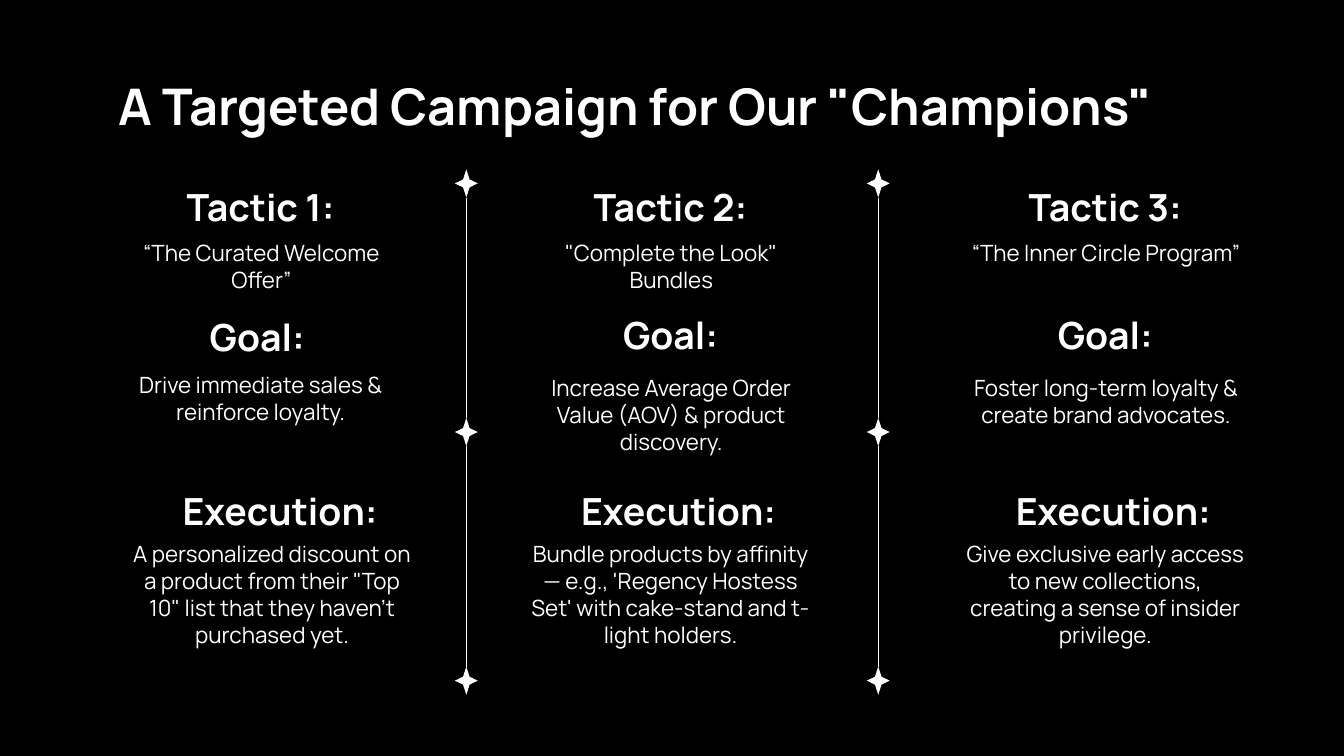
from pptx import Presentation
from pptx.dml.color import RGBColor
from pptx.enum.shapes import MSO_CONNECTOR, MSO_SHAPE
from pptx.enum.text import MSO_ANCHOR, MSO_AUTO_SIZE, PP_ALIGN
from pptx.oxml.ns import qn
from pptx.util import Emu, Pt
from lxml import etree

LEFT, CENTER = PP_ALIGN.LEFT, PP_ALIGN.CENTER
TOP, BOTTOM = MSO_ANCHOR.TOP, MSO_ANCHOR.BOTTOM
NO_FIT = MSO_AUTO_SIZE.NONE
STAR, STRAIGHT = MSO_SHAPE.STAR_4_POINT, MSO_CONNECTOR.STRAIGHT

BLACK = RGBColor(0, 0, 0)
WHITE = RGBColor(255, 255, 255)
FONT = "Manrope"
EMU_PER_PX = 4572

TITLE_FONT = {"name": FONT, "size": Pt(27), "bold": True}
HEADING_FONT = {"name": FONT, "size": Pt(20), "bold": True}
BODY_FONT = {"name": FONT, "size": Pt(12), "bold": False}

MARGIN = 20
COLUMN_WIDTH = 462
HEADING_HEIGHT = 86
STAR_WIDTH, STAR_HEIGHT = 34, 42

TACTICS = [
    (157, [
        (0, 275, "Tactic 1:", 1, 336, 128, "“The Curated Welcome Offer”"),
        (-5, 468, "Goal:", 0, 532, 128, "Drive immediate sales & reinforce loyalty."),
        (29, 727, "Execution:", 17, 784, 304,
         "A personalized discount on a product from their \"Top 10\" list "
         "that they haven't purchased yet."),
    ]),
    (767, [
        (0, 275, "Tactic 2:", 1, 336, 128, "\"Complete the Look\" Bundles"),
        (0, 465, "Goal:", 1, 537, 128,
         "Increase Average Order Value (AOV) & product discovery."),
        (12, 727, "Execution:", 0, 784, 304,
         "Bundle products by affinity — e.g., 'Regency Hostess Set' "
         "with cake-stand and t-light holders."),
    ]),
    (1414, [
        (0, 275, "Tactic 3:", 1, 336, 128, "“The Inner Circle Program”"),
        (0, 465, "Goal:", 1, 537, 128,
         "Foster long-term loyalty & create brand advocates."),
        (12, 727, "Execution:", 0, 784, 304,
         "Give exclusive early access to new collections, "
         "creating a sense of insider privilege."),
    ]),
]


def px(*lengths):
    return [Emu(length * EMU_PER_PX) for length in lengths]


def write_text(box, text, font, align, anchor):
    frame = box.text_frame
    margin = Emu(MARGIN * EMU_PER_PX)
    frame_format = {
        "word_wrap": True, "auto_size": NO_FIT, "vertical_anchor": anchor,
        "margin_left": margin, "margin_right": margin,
        "margin_top": margin, "margin_bottom": margin,
    }
    for name, value in frame_format.items():
        setattr(frame, name, value)
    para = frame.paragraphs[0]
    para.alignment = align
    span = para.add_run()
    span.text = text
    for name, value in font.items():
        setattr(span.font, name, value)
    span.font.color.rgb = WHITE


def add_title(page, left, top, width, height):
    title = page.shapes.title
    title.left, title.top, title.width, title.height = px(left, top, width, height)
    write_text(title, "A Targeted Campaign for Our \"Champions\"", TITLE_FONT, LEFT, TOP)


def add_column(page, left, sections):
    for heading_dx, heading_top, heading, body_dx, body_top, body_height, body in sections:
        box = page.shapes.add_textbox(
            *px(left + heading_dx, heading_top, COLUMN_WIDTH, HEADING_HEIGHT))
        write_text(box, heading, HEADING_FONT, CENTER, BOTTOM)
        box = page.shapes.add_textbox(
            *px(left + body_dx, body_top, COLUMN_WIDTH, body_height))
        write_text(box, body, BODY_FONT, CENTER, TOP)


def add_divider(page, center, top, height):
    step = (height - STAR_HEIGHT) // 2
    for index in range(3):
        star_top = top + index * step
        star = page.shapes.add_shape(
            STAR, *px(center - STAR_WIDTH // 2, star_top, STAR_WIDTH, STAR_HEIGHT))
        star.adjustments[0] = 0.2
        star.shadow.inherit = False
        star.fill.solid()
        star.fill.fore_color.rgb = WHITE
        star.line.fill.background()
        if index < 2:
            line = page.shapes.add_connector(
                STRAIGHT, *px(center, star_top + STAR_HEIGHT, center, star_top + step))
            line.line.color.rgb = WHITE
            line.line.width = Pt(0.75)
            etree.SubElement(line._element.spPr, qn("a:effectLst"))


def main():
    deck = Presentation()
    deck.slide_width, deck.slide_height = px(2000, 1125)
    page = deck.slides.add_slide(deck.slide_layouts[5])
    page.background.fill.solid()
    page.background.fill.fore_color.rgb = BLACK

    add_title(page, 156, 92, 1730, 134)
    for left, sections in TACTICS:
        add_column(page, left, sections)
    for center in (694, 1307):
        add_divider(page, center, 252, 782)

    deck.save("out.pptx")


if __name__ == "__main__":
    main()
